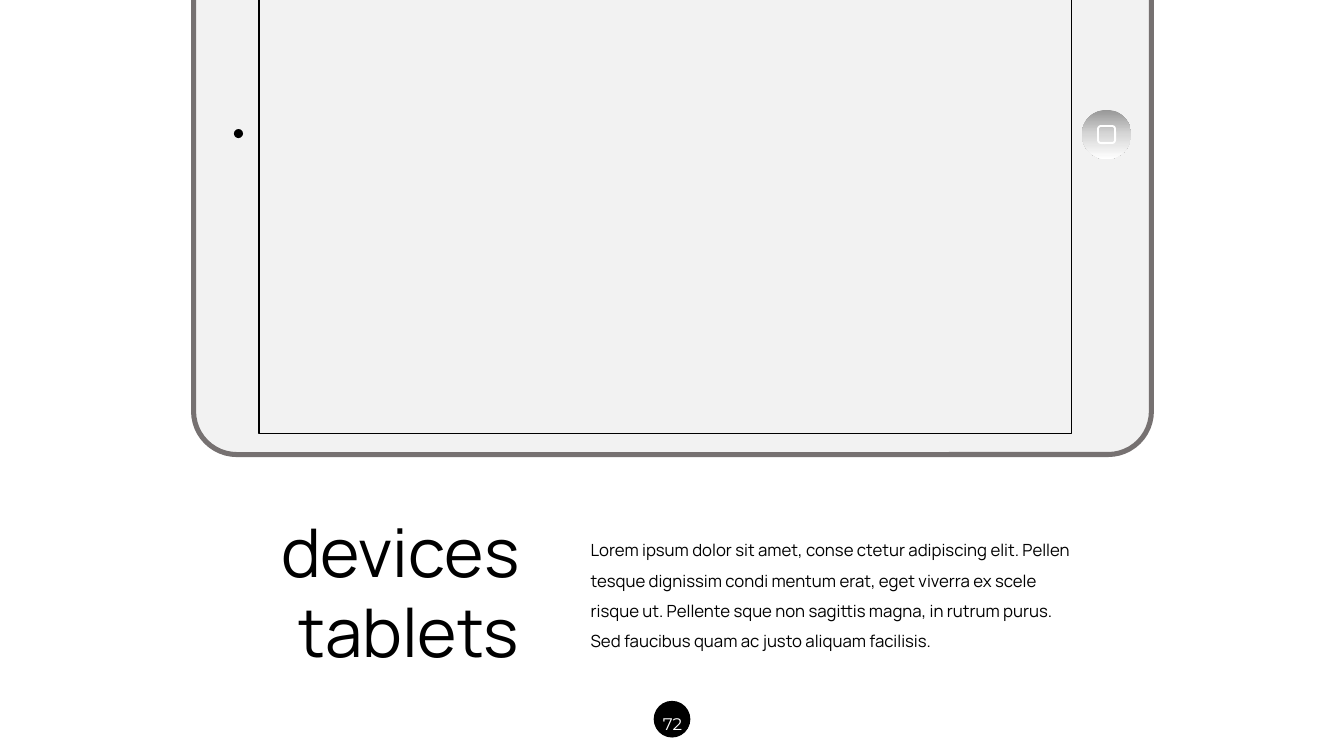
"""Build the tablet device slide."""
from copy import deepcopy

from pptx import Presentation, util as u
from pptx.dml import color
from pptx.enum import shapes, text

INK = {"black": "000000", "white": "FFFFFF", "shell": "F2F2F2",
       "rim": "767171", "dark": "979797", "mid": "D7D7D7"}
KIND = shapes.MSO_SHAPE
ALIGN = text.PP_ALIGN


def rgb(name):
    """Return the named colour."""
    return color.RGBColor.from_string(INK[name])


class Deck:
    """Holds the style and the current slide."""

    def __init__(self):
        """Open a blank slide."""
        self.prs = Presentation()
        self.prs.slide_width = u.Inches(13.33)
        self.prs.slide_height = u.Inches(7.5)
        self.slide = self.prs.slides.add_slide(self.prs.slide_layouts[6])
        self.font = "Manrope"

    def shape(self, kind, box, fill=None, line=None, width=1, curve=None):
        """Add a preset shape."""
        form = self.slide.shapes.add_shape(kind, *map(u.Inches, box))
        form.shadow.inherit = False
        if curve is not None:
            form.adjustments[0] = curve / min(box[2:])
        if fill:
            form.fill.solid()
            form.fill.fore_color.rgb = rgb(fill)
        else:
            form.fill.background()
        if line:
            form.line.color.rgb = rgb(line)
            form.line.width = u.Pt(width)
        else:
            form.line.fill.background()
        return form

    def shade(self, form, names):
        """Fill a shape with three even stops from top to bottom."""
        fill = form.fill
        fill.gradient()
        fill.gradient_angle = 270
        first = fill.gradient_stops[0]._gs
        first.addnext(deepcopy(first))
        for i, (stop, name) in enumerate(zip(fill.gradient_stops, names)):
            stop.position = i / (len(names) - 1)
            stop.color.rgb = rgb(name)

    def words(self, box, lines, size, ink="black", font=None, **form):
        """Add a text box with one paragraph for each line."""
        frame = self.slide.shapes.add_textbox(*map(u.Inches, box)).text_frame
        frame.word_wrap = True
        frame.auto_size = text.MSO_AUTO_SIZE.SHAPE_TO_FIT_TEXT
        frame.text = "\n".join(lines)
        style = {"name": font or self.font, "size": u.Pt(size)}
        for para in frame.paragraphs:
            for key, value in form.items():
                setattr(para, key, value)
            run = para.runs[0]
            for key, value in style.items():
                setattr(run.font, key, value)
            run.font.color.rgb = rgb(ink)


def main():
    """Draw the slide and save it."""
    deck = Deck()
    deck.shape(KIND.ROUNDED_RECTANGLE, (1.92, -1.85, 9.5, 6.36),
               "shell", "rim", 3.6, 0.43)
    deck.shape(KIND.OVAL, (2.32, 1.28, 0.09, 0.09), "black")
    home = deck.shape(KIND.OVAL, (10.73, 1.09, 0.49, 0.49))
    deck.shade(home, ("dark", "mid", "white"))
    deck.shape(KIND.ROUNDED_RECTANGLE, (10.89, 1.25, 0.17, 0.17),
               line="white", width=1.3, curve=0.03)
    deck.shape(KIND.OVAL, (6.49, 6.96, 0.35, 0.35), "black", "black")
    deck.words((6.42, 6.93, 0.5, 0.37), ["72"], 12, "white", "Montserrat",
               alignment=ALIGN.CENTER, line_spacing=1.5)
    deck.shape(KIND.RECTANGLE, (2.57, -1.1, 8.06, 5.4), line="black")
    deck.words((1.94, 5.01, 3.31, 1.72), ["devices", "tablets"], 48,
               alignment=ALIGN.RIGHT)
    deck.words((5.76, 5.21, 4.97, 1.31), [
        "Lorem ipsum dolor sit amet, conse ctetur adipiscing elit. "
        "Pellen tesque dignissim condi mentum erat, eget viverra ex scele "
        "risque ut. Pellente sque non sagittis magna, in rutrum purus. "
        "Sed faucibus quam ac justo aliquam facilisis."],
        12, line_spacing=1.5)
    deck.prs.save("out.pptx")


if __name__ == "__main__":
    main()
